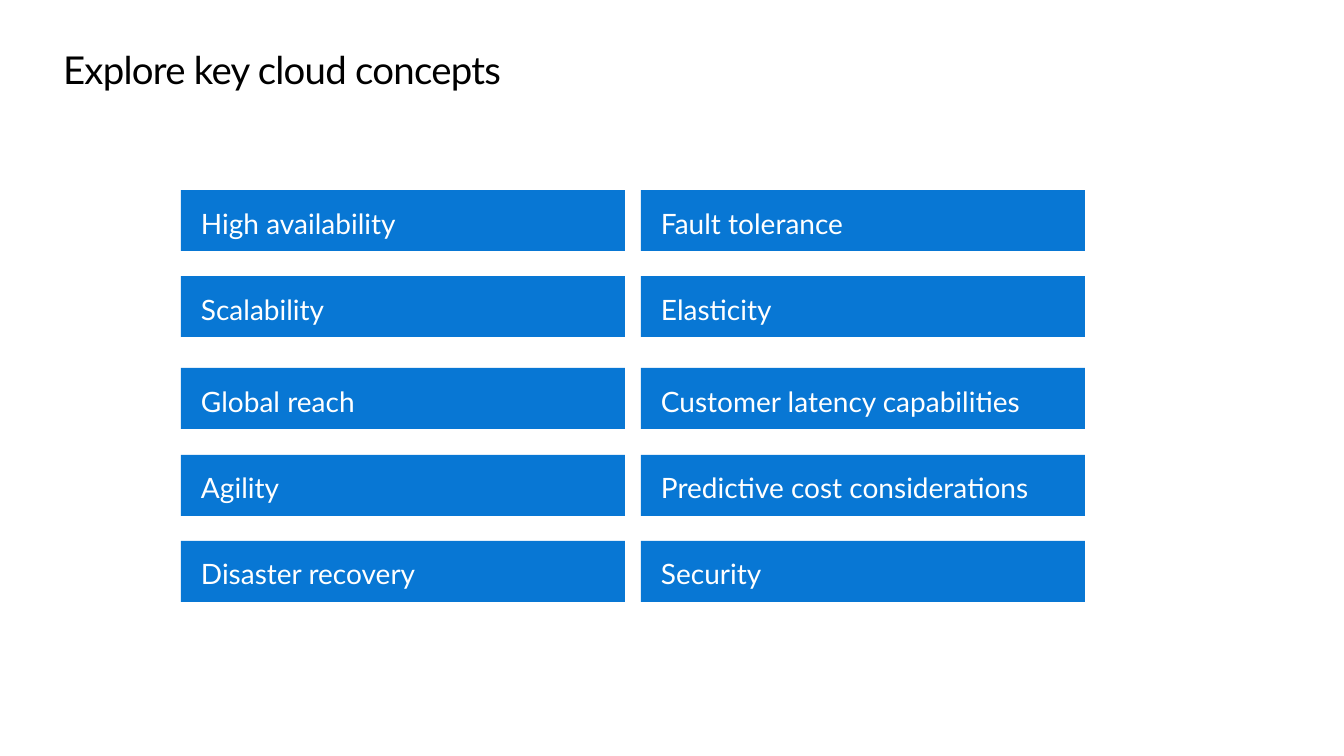
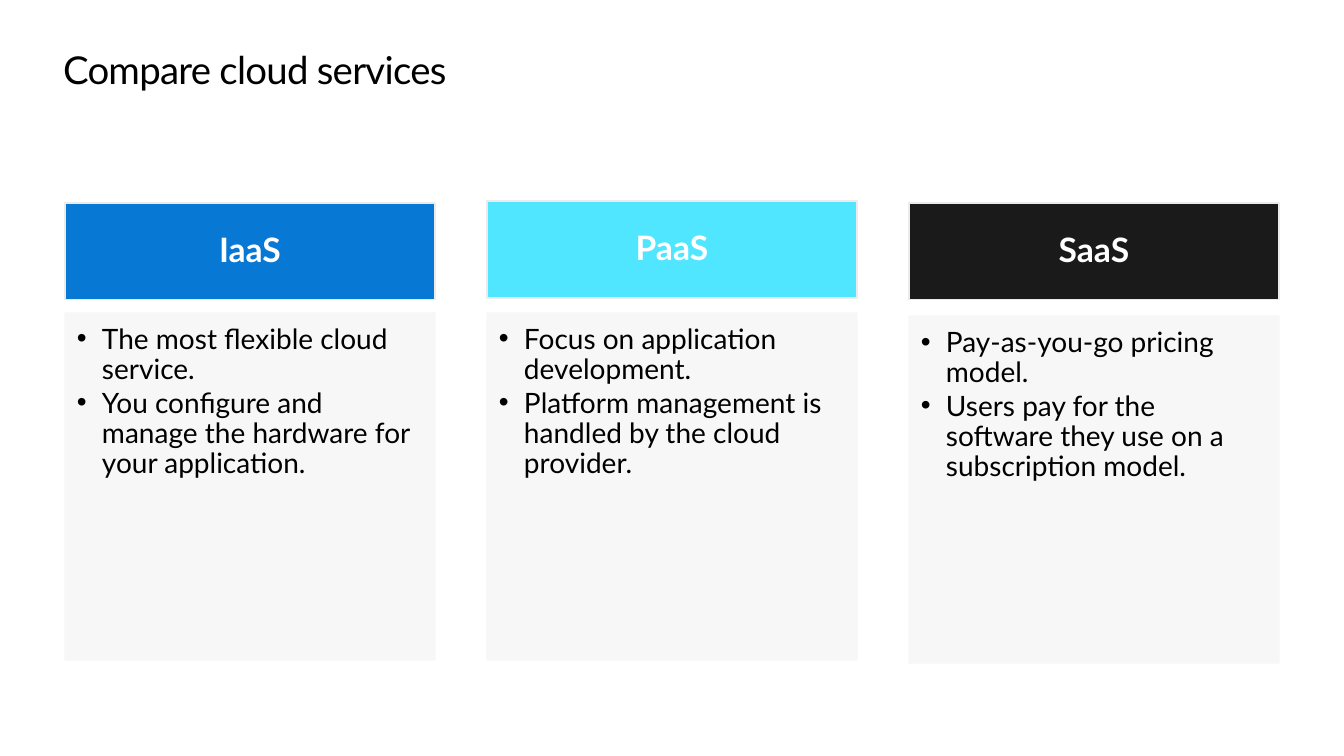
from lxml.etree import SubElement
from pptx import Presentation
from pptx.dml.color import RGBColor
from pptx.enum.shapes import MSO_SHAPE
from pptx.enum.text import MSO_ANCHOR, PP_ALIGN
from pptx.oxml.ns import qn
from pptx.util import Pt

PX = 914400 / 100.8
COLORS = {
    "blue": "0877D4",
    "service_blue": "0778D4",
    "cyan": "50E6FF",
    "dark": "1A1A1A",
    "panel": "F7F7F7",
    "outline": "EBEBEB",
    "white": "FFFFFF",
    "black": "000000",
}
TITLE = {
    "insets": (0, 10, 16, 10),
    "frame": {"word_wrap": True, "vertical_anchor": MSO_ANCHOR.TOP},
    "para": {"alignment": PP_ALIGN.LEFT, "line_spacing": 0.9},
    "font": {"name": "Lato", "size": Pt(27.4)},
    "color": "black",
    "spacing": -50,
}
CONCEPT = {
    "insets": (20, 16, 20, 16),
    "frame": {"word_wrap": True, "vertical_anchor": MSO_ANCHOR.TOP},
    "para": {"alignment": PP_ALIGN.LEFT},
    "font": {"name": "Lato", "size": Pt(20)},
    "color": "white",
}
HEADING = {
    "insets": (19, 11, 19, 11),
    "frame": {"word_wrap": True, "vertical_anchor": MSO_ANCHOR.MIDDLE},
    "para": {"alignment": PP_ALIGN.CENTER, "line_spacing": 0.9},
    "font": {"name": "Lato", "size": Pt(24), "bold": True},
    "color": "white",
}
DETAILS = {
    "insets": (12, 12, 16, 17),
    "frame": {"word_wrap": True, "vertical_anchor": MSO_ANCHOR.TOP},
    "para": {"alignment": PP_ALIGN.LEFT, "line_spacing": 0.9, "space_after": Pt(2.5)},
    "font": {"name": "Lato", "size": Pt(20)},
    "color": "black",
    "bullet_indent": 25,
}


def write(box, lines, style):
    frame = box.text_frame
    for side, inset in zip(("left", "top", "right", "bottom"), style["insets"]):
        setattr(frame, f"margin_{side}", round(inset * PX))
    for name, value in style["frame"].items():
        setattr(frame, name, value)
    for index, line in enumerate(lines):
        para = frame.paragraphs[0] if index == 0 else frame.add_paragraph()
        for name, value in style["para"].items():
            setattr(para, name, value)
        if "bullet_indent" in style:
            indent = round(style["bullet_indent"] * PX)
            properties = para._p.get_or_add_pPr()
            properties.set("marL", str(indent))
            properties.set("indent", str(-indent))
            SubElement(properties, qn("a:buFont")).set("typeface", "Arial")
            SubElement(properties, qn("a:buChar")).set("char", "•")
        span = para.add_run()
        span.text = line
        for name, value in style["font"].items():
            setattr(span.font, name, value)
        span.font.color.rgb = RGBColor.from_string(COLORS[style["color"]])
        if "spacing" in style:
            span._r.get_or_add_rPr().set("spc", str(style["spacing"]))


def add_block(page, place, fill, lines, style, outline=None, opacity=100):
    box = page.shapes.add_shape(MSO_SHAPE.RECTANGLE, *(round(length * PX) for length in place))
    box.shadow.inherit = False
    box.fill.solid()
    box.fill.fore_color.rgb = RGBColor.from_string(COLORS[fill])
    if outline:
        box.line.color.rgb = RGBColor.from_string(COLORS[outline])
        box.line.width = Pt(0.85)
    else:
        box.line.fill.background()
    if opacity < 100:
        for color in box._element.spPr.iter(qn("a:srgbClr")):
            SubElement(color, qn("a:alpha")).set("val", str(opacity * 1000))
    write(box, lines, style)


deck = Presentation()
deck.slide_width = round(1344 * PX)
deck.slide_height = round(756 * PX)

pages = []
for title in ("Explore key cloud concepts", "Compare cloud services"):
    page = deck.slides.add_slide(deck.slide_layouts[6])
    title_box = page.shapes.add_textbox(*(round(length * PX) for length in (63, 41, 1246, 90)))
    write(title_box, [title], TITLE)
    pages.append(page)
concepts_page, services_page = pages

concept_rows = [
    (190, "High availability", "Fault tolerance"),
    (276, "Scalability", "Elasticity"),
    (368, "Global reach", "Customer latency capabilities"),
    (455, "Agility", "Predictive cost considerations"),
    (541, "Disaster recovery", "Security"),
]
for top, *concepts in concept_rows:
    for column, concept in enumerate(concepts):
        add_block(concepts_page, (181 + 460 * column, top, 444, 61), "blue", [concept], CONCEPT)

services = [
    ("IaaS", "service_blue", 203, 313, [
        "The most flexible cloud service.",
        "You configure and manage the hardware for your application.",
    ]),
    ("PaaS", "cyan", 201, 313, [
        "Focus on application development.",
        "Platform management is handled by the cloud provider.",
    ]),
    ("SaaS", "dark", 203, 316, [
        "Pay-as-you-go pricing model.",
        "Users pay for the software they use on a subscription model.",
    ]),
]
for column, (name, fill, heading_top, details_top, details) in enumerate(services):
    left = 65 + 422 * column
    add_block(services_page, (left, heading_top, 370, 97), fill, [name], HEADING, "outline")
    add_block(services_page, (left, details_top, 370, 347), "panel", details, DETAILS, "panel", 90)

deck.save("out.pptx")
